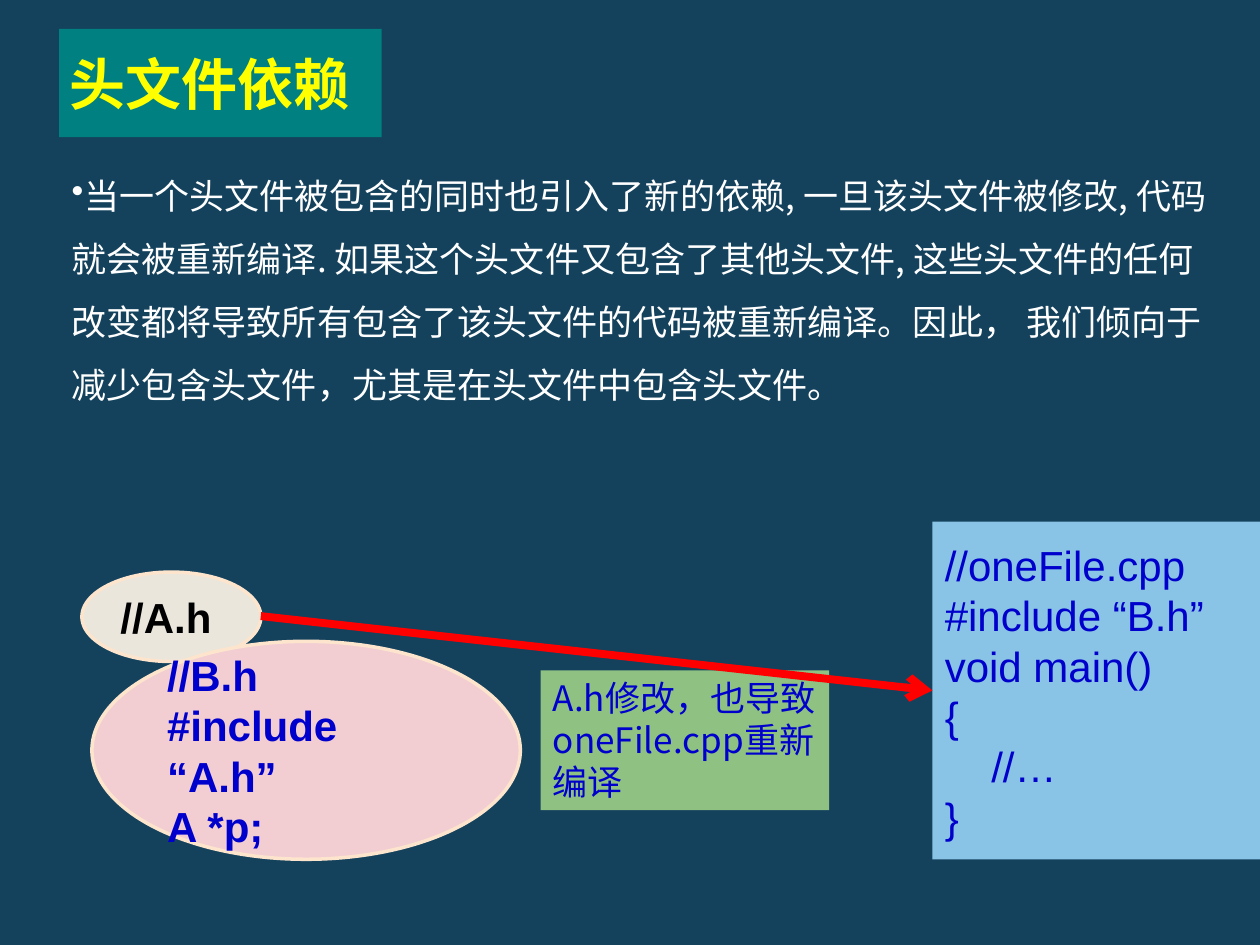
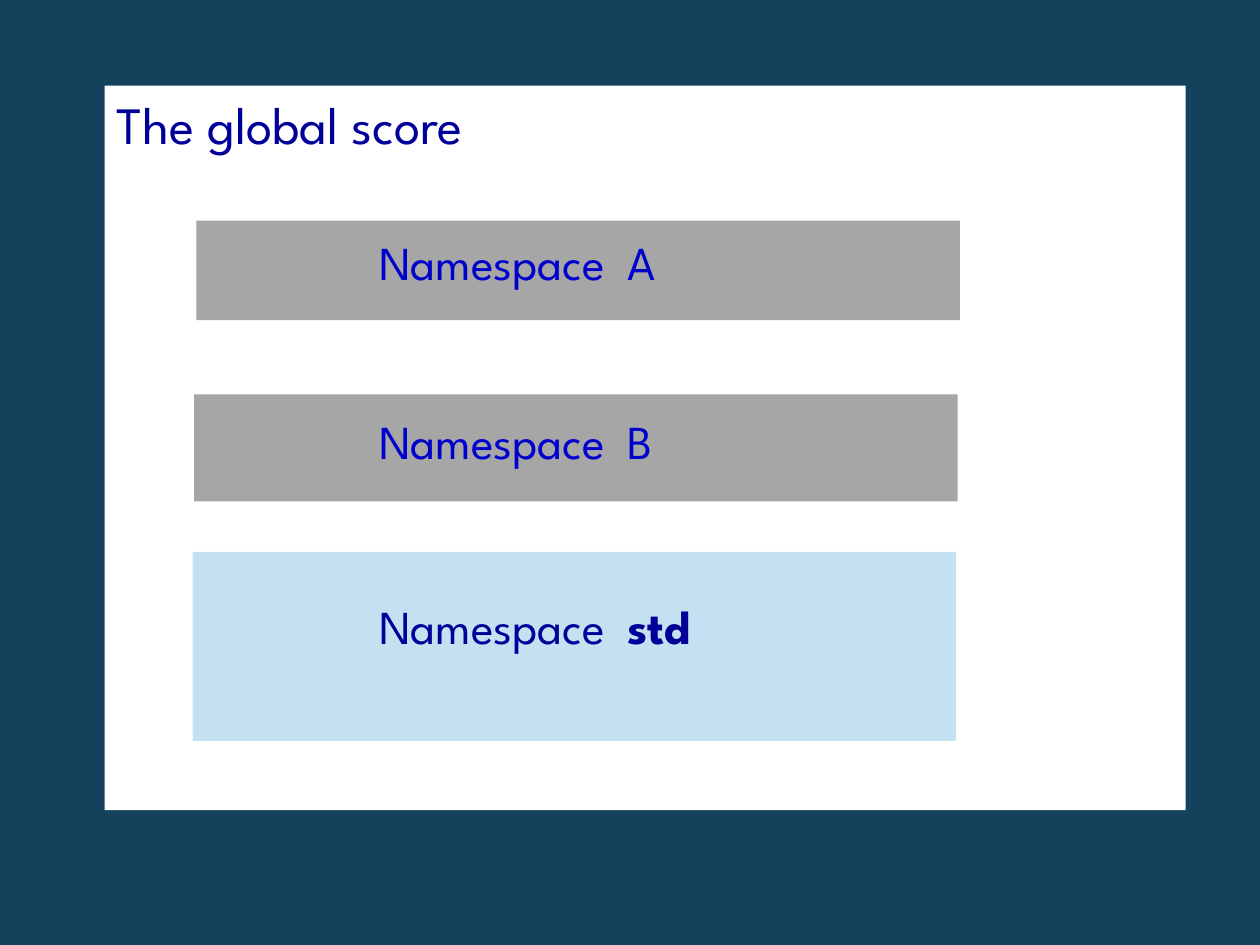
import pptx
import pptx.dml.color
import pptx.enum.shapes
import pptx.enum.text
import pptx.oxml
import pptx.oxml.ns
import pptx.util

COLUMNS, ROWS = 100, 75
CELL = pptx.util.Inches(0.1)
COLORS = {
    "background": "14425D", "title band": "008080", "title": "FFFF00",
    "white": "FFFFFF", "black": "000000", "blue": "0000CC", "navy": "000099",
    "note": "8EC182", "header A": "EAE6DC", "header B": "F2CED2",
    "outline": "FDE5CD", "source file": "89C3E5", "arrow": "FF0000",
    "namespace": "A6A6A6", "standard": "C4E1F2",
}
CHINESE, CODE, LABEL = "Noto Sans CJK SC", "Arial", "League Spartan"
SHAPES = pptx.enum.shapes.MSO_SHAPE
ANCHORS = pptx.enum.text.MSO_ANCHOR

TITLE = {"name": CHINESE, "size": 32, "color": "title", "bold": True}
BODY = {"name": CHINESE, "size": 20, "color": "white"}
NOTE = {**BODY, "color": "blue"}
SOURCE_CODE = {"name": CODE, "size": 24, "color": "blue"}
HEADER_CODE = {**SOURCE_CODE, "bold": True}
SCOPE_TITLE = {"name": LABEL, "size": 30, "color": "navy"}
SCOPE_LABEL = {**SCOPE_TITLE, "size": 27}


def rgb(name):
    return pptx.dml.color.RGBColor.from_string(COLORS[name])


def grid(*cells):
    return [round(cell * CELL) for cell in cells]


def append_xml(parent, tag, attributes="", children=""):
    namespace = pptx.oxml.ns.nsdecls("a")
    parent.append(pptx.oxml.parse_xml(
        f"<a:{tag} {namespace} {attributes}>{children}</a:{tag}>"))


def add_run(paragraph, text, style):
    run = paragraph.add_run()
    run.text = text
    values = dict(style)
    run.font.color.rgb = rgb(values.pop("color"))
    values["size"] = pptx.util.Pt(values["size"])
    for attribute, value in values.items():
        setattr(run.font, attribute, value)
    append_xml(run.font._element, "ea", f'typeface="{style["name"]}"')


def write(shape, lines, style, anchor=ANCHORS.TOP):
    """Fill a shape with left-aligned lines and return its last paragraph."""
    frame = shape.text_frame
    frame.word_wrap = True
    frame.vertical_anchor = anchor
    for index, line in enumerate(lines):
        paragraph = frame.add_paragraph() if index else frame.paragraphs[0]
        paragraph.alignment = pptx.enum.text.PP_ALIGN.LEFT
        add_run(paragraph, line, style)
    return paragraph


def add_block(slide, area, fill, kind=SHAPES.RECTANGLE, outline=None):
    shape = slide.shapes.add_shape(kind, *grid(*area))
    shape.shadow.inherit = False
    shape.fill.solid()
    shape.fill.fore_color.rgb = rgb(fill)
    if outline:
        shape.line.color.rgb = rgb(outline)
        shape.line.width = pptx.util.Pt(2)
    else:
        shape.line.fill.background()
    return shape


def add_text(slide, area, lines, style):
    return write(slide.shapes.add_textbox(*grid(*area)), lines, style)


def add_title(slide, text):
    band = add_block(slide, (4.7, 2.3, 25.6, 8.6), "title band")
    write(band, [text], TITLE, ANCHORS.MIDDLE)
    band.text_frame.margin_left = band.text_frame.margin_right = pptx.util.Inches(0.08)


def add_bulleted_text(slide, area, text):
    paragraph = add_text(slide, area, [text], BODY)
    paragraph.line_spacing = 1.5
    append_xml(paragraph._element.get_or_add_pPr(), "buChar", 'char="•"')


def add_header_file(slide, area, fill, lines, text_color):
    ellipse = add_block(slide, area, fill, SHAPES.OVAL, "outline")
    write(ellipse, lines, {**HEADER_CODE, "color": text_color}, ANCHORS.MIDDLE)


def add_arrow_into(slide, start, target):
    """Draw an arrow from a grid point to the left side of the target."""
    arrow = slide.shapes.add_connector(
        pptx.enum.shapes.MSO_CONNECTOR.STRAIGHT, *grid(*start), *grid(*start))
    arrow.end_connect(target, 1)
    arrow.line.color.rgb = rgb("arrow")
    arrow.line.width = pptx.util.Pt(4.5)
    append_xml(arrow.line._get_or_add_ln(), "tailEnd", 'type="arrow"')
    append_xml(arrow._element.spPr, "effectLst")


def add_namespace(slide, area, fill, label_top, name, style, bold=False):
    add_block(slide, area, fill)
    paragraph = add_text(slide, (29.1, label_top, 39.1, 5.6), ["Namespace\t"], style)
    append_xml(paragraph._element.get_or_add_pPr(), "tabLst",
               children=f'<a:tab pos="{pptx.util.Inches(1.97)}" algn="l"/>')
    add_run(paragraph, name, {**style, "bold": bold})


def build_dependency_slide(slide):
    note = add_block(slide, (42.9, 53.2, 22.9, 11.1), "note")
    write(note, ["A.h修改，也导致oneFile.cpp重新编译"], NOTE)
    add_title(slide, "头文件依赖")
    add_bulleted_text(
        slide, (4.7, 11.7, 92.5, 21.2),
        "当一个头文件被包含的同时也引入了新的依赖, 一旦该头文件被修改, "
        "代码就会被重新编译. 如果这个头文件又包含了其他头文件, "
        "这些头文件的任何改变都将导致所有包含了该头文件的代码被重新编译。因此， "
        "我们倾向于减少包含头文件，尤其是在头文件中包含头文件。")
    add_header_file(slide, (6.5, 45.4, 14.2, 7.1), "header A", ["//A.h"], "black")
    source_file = add_block(slide, (74, 41.4, 26, 26.8), "source file")
    write(source_file,
          ["//oneFile.cpp", "#include “B.h”", "void main()", "{", "    //…", "}"],
          SOURCE_CODE, ANCHORS.MIDDLE)
    add_arrow_into(slide, (20.7, 48.9), source_file)
    add_header_file(slide, (7.3, 50.9, 34, 17.3), "header B",
                    ["//B.h", "#include “A.h”", "A *p;"], "blue")


def build_namespace_slide(slide):
    add_block(slide, (8.3, 6.8, 85.8, 57.5), "white")
    add_text(slide, (8.3, 6.8, 44.1, 6.1), ["The global score"], SCOPE_TITLE)
    blue_label = {**SCOPE_LABEL, "color": "blue"}
    add_namespace(slide, (15.6, 17.5, 60.6, 7.9), "namespace", 18, "A", blue_label)
    add_namespace(slide, (15.4, 31.3, 60.6, 8.5), "namespace", 32.2, "B", blue_label)
    add_namespace(slide, (15.3, 43.8, 60.6, 15), "standard", 46.9, "std",
                  SCOPE_LABEL, bold=True)


def main():
    presentation = pptx.Presentation()
    presentation.slide_width, presentation.slide_height = grid(COLUMNS, ROWS)
    background = presentation.slide_master.background.fill
    background.solid()
    background.fore_color.rgb = rgb("background")
    blank = presentation.slide_layouts[6]
    for build in (build_dependency_slide, build_namespace_slide):
        build(presentation.slides.add_slide(blank))
    presentation.save("out.pptx")


if __name__ == "__main__":
    main()
